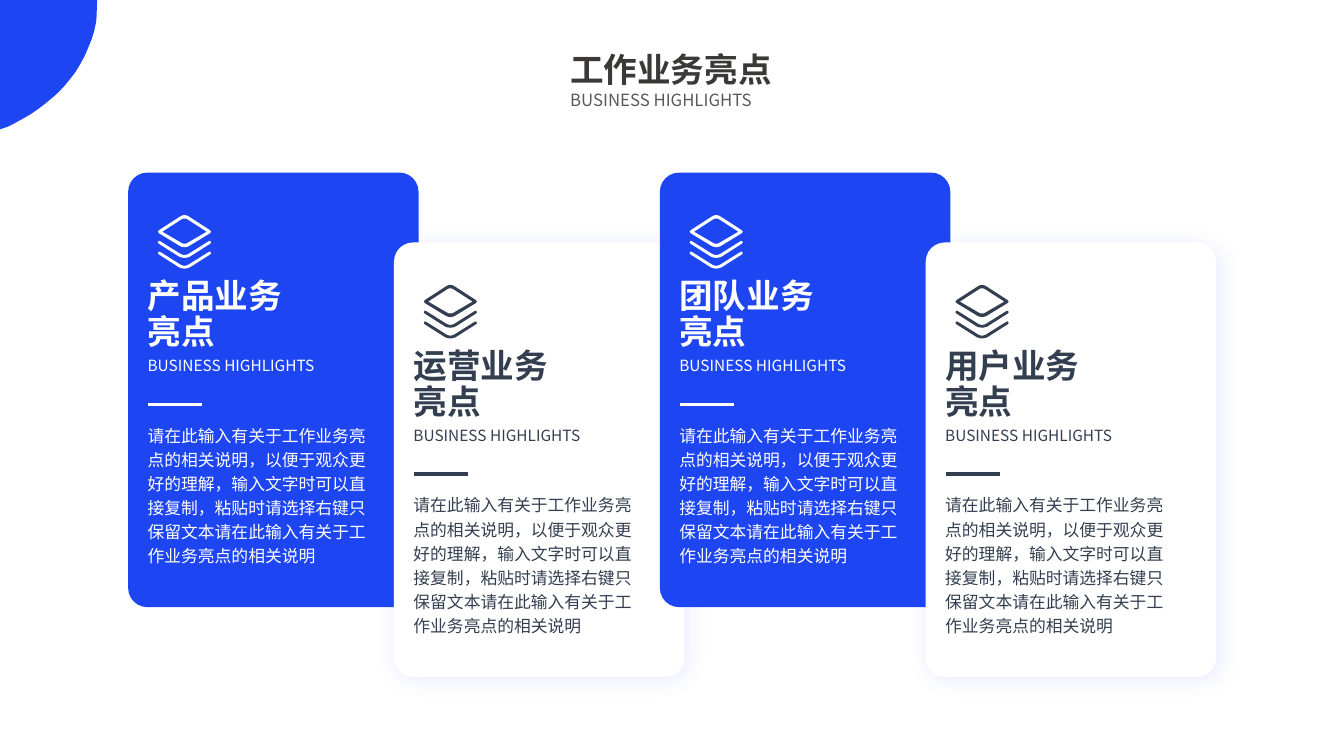
import pptx
import pptx.dml.color
import pptx.enum.shapes
import pptx.enum.text
import pptx.oxml
import pptx.oxml.ns
import pptx.util
from pptx.util import Cm

FONT = "Noto Sans CJK SC"
BLUE, WHITE, SLATE = "1D45F2", "FFFFFF", "333F50"
SUBTITLE = "BUSINESS HIGHLIGHTS"
DESCRIPTION = (
    "请在此输入有关于工作业务亮点的相关说明，以便于观众更好的理解，"
    "输入文字时可以直接复制，粘贴时请选择右键只保留文本"
    "请在此输入有关于工作业务亮点的相关说明"
)
CARD_WIDTH, CARD_HEIGHT = 7.32, 10.95
CARD_STEP, CARD_DROP = 6.7, 1.76
NAMESPACE = pptx.oxml.ns.nsdecls("a")
SHADOW = (
    f'<a:outerShdw {NAMESPACE} blurRad="190500" dist="38100" '
    f'dir="2700000" algn="tl" rotWithShape="0"><a:srgbClr val="{BLUE}">'
    '<a:alpha val="10000"/></a:srgbClr></a:outerShdw>'
)

DIAMOND_OUTER = [(0, 0), (6, 1), (13, 5), (64, 38), (67, 42), (64, 46), (13, 77), (7, 80), (0, 81)]
DIAMOND_INNER = [(0, 9), (4, 9), (8, 11), (56, 42), (8, 70), (4, 72), (0, 72)]
CHEVRON = [(0, 101), (5, 100), (10, 98), (61, 66), (65, 65), (67, 69), (65, 72), (13, 105), (7, 107), (0, 108)]
LOWER_CHEVRON = [(x, y + 27) for x, y in CHEVRON]


def rgb(value):
    return pptx.dml.color.RGBColor.from_string(value)


def add_text(slide, box, lines, size, color, bold=False, spacing=None, align=None):
    shape = slide.shapes.add_textbox(*[Cm(length) for length in box])
    frame = shape.text_frame
    frame.text = "\n".join(lines)
    frame.word_wrap = True
    frame.auto_size = pptx.enum.text.MSO_AUTO_SIZE.SHAPE_TO_FIT_TEXT
    for paragraph in frame.paragraphs:
        paragraph.line_spacing = spacing
        paragraph.alignment = align
        for run in paragraph.runs:
            run.font.size = pptx.util.Pt(size)
            run.font.bold = bold
            run.font.name = FONT
            run.font.color.rgb = rgb(color)
            properties = run.font._element
            east_asian = pptx.oxml.parse_xml(f'<a:ea {NAMESPACE} typeface="{FONT}"/>')
            properties.find(pptx.oxml.ns.qn("a:latin")).addnext(east_asian)


presentation = pptx.Presentation()
presentation.slide_width = Cm(33.87)
presentation.slide_height = Cm(19.05)
slide = presentation.slides.add_slide(presentation.slide_layouts[6])

curve = [(243, 51), (218, 185), (127, 269), (18, 320)]
corner_points = [(245, 0)]
for step in range(17):
    t = step / 16
    weights = [(1 - t) ** 3, 3 * t * (1 - t) ** 2, 3 * t**2 * (1 - t), t**3]
    corner_points.append(
        tuple(sum(w * point[axis] for w, point in zip(weights, curve)) for axis in (0, 1))
    )
corner_points.append((0, 326))
builder = slide.shapes.build_freeform(0, 0, scale=Cm(0.01))
builder.add_line_segments(corner_points)
corner = builder.convert_to_shape()
corner.shadow.inherit = False
corner.fill.solid()
corner.fill.fore_color.rgb = rgb(BLUE)
corner.line.fill.background()

for index, topic in enumerate(["产品业务", "运营业务", "团队业务", "用户业务"]):
    lowered = index % 2 == 1
    left = 3.23 + index * CARD_STEP
    top = 4.35 + lowered * CARD_DROP
    ink = SLATE if lowered else WHITE

    card = slide.shapes.add_shape(
        pptx.enum.shapes.MSO_SHAPE.ROUNDED_RECTANGLE,
        Cm(left), Cm(top), Cm(CARD_WIDTH), Cm(CARD_HEIGHT),
    )
    card.adjustments[0] = 0.066
    card.shadow.inherit = False
    card.fill.solid()
    card.fill.fore_color.rgb = rgb(WHITE if lowered else BLUE)
    card.line.fill.background()
    if lowered:
        effects = card._element.spPr.find(pptx.oxml.ns.qn("a:effectLst"))
        effects.append(pptx.oxml.parse_xml(SHADOW))

    text_left = left + 0.24
    add_text(slide, (text_left, top + 4.51, 6.63, 0.74), [SUBTITLE], 11, ink)
    add_text(slide, (text_left, top + 2.56, 6.5, 2.11), [topic, "亮点"], 24, ink, True, 0.9)
    add_text(slide, (text_left, top + 6.14, 6.22, 3.91), [DESCRIPTION], 12, ink, spacing=1.2)

    builder = slide.shapes.build_freeform(0, 0, scale=Cm(0.01))
    for half in (DIAMOND_OUTER, DIAMOND_INNER, CHEVRON, LOWER_CHEVRON):
        builder.move_to(*half[0])
        builder.add_line_segments(half[1:] + [(-x, y) for x, y in half[-2:0:-1]])
    layers = builder.convert_to_shape(Cm(left + 1.42), Cm(top + 1.07))
    layers.shadow.inherit = False
    layers.fill.solid()
    layers.fill.fore_color.rgb = rgb(ink)
    layers.line.fill.background()

    divider = slide.shapes.add_connector(
        pptx.enum.shapes.MSO_CONNECTOR.STRAIGHT,
        Cm(left + 0.5), Cm(top + 5.84), Cm(left + 1.86), Cm(top + 5.84),
    )
    divider.line.color.rgb = rgb(ink)
    divider.line.width = pptx.util.Pt(2.5)
    divider._element.spPr.append(pptx.oxml.parse_xml(f"<a:effectLst {NAMESPACE}/>"))

justify = pptx.enum.text.PP_ALIGN.JUSTIFY
add_text(slide, (14.12, 2.13, 5.61, 0.76), [SUBTITLE], 12, "595959", align=justify)
add_text(slide, (14.12, 1.22, 5.61, 1.17), ["工作业务亮点"], 24, "3B3838", True, 0.9, justify)

presentation.save("out.pptx")
